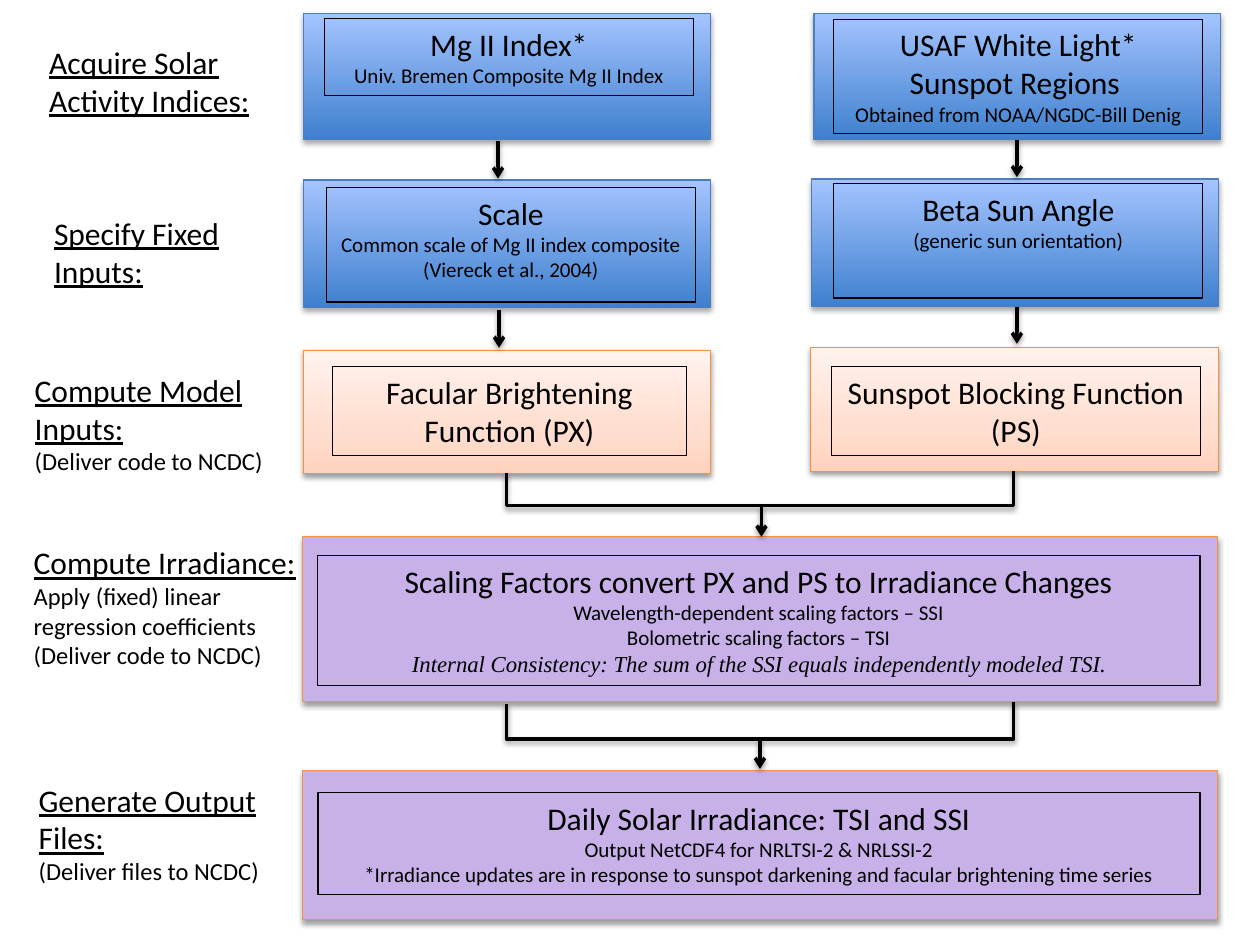
from copy import deepcopy

from lxml.etree import SubElement
from pptx import Presentation
from pptx.dml.color import RGBColor
from pptx.enum.shapes import MSO_CONNECTOR as Link, MSO_SHAPE as Shape
from pptx.enum.text import PP_ALIGN as Align
from pptx.oxml.ns import qn
from pptx.util import Cm, Pt

BLACK = RGBColor(0x00, 0x00, 0x00)
BLUE_EDGE = RGBColor(0x4B, 0x7E, 0xBC)
ORANGE_EDGE = RGBColor(0xF6, 0x92, 0x40)
LILAC = RGBColor(0xC7, 0xB1, 0xE8)
BLUES = [(0, RGBColor(0x3F, 0x80, 0xCE)), (1, RGBColor(0xA4, 0xC4, 0xFF))]
PEACHES = [(0, RGBColor(0xFF, 0xD2, 0xBD)), (0.35, RGBColor(0xFF, 0xDE, 0xD0)),
           (1, RGBColor(0xFF, 0xF2, 0xED))]

FORMATS = {
    "heading": {"size": Pt(18), "name": "Calibri"},
    "detail": {"size": Pt(12), "name": "Calibri"},
    "remark": {"size": Pt(13), "name": "Times New Roman", "italic": True},
    "stage": {"size": Pt(18), "name": "Calibri", "underline": True},
    "task": {"size": Pt(14), "name": "Calibri"},
}


def add_shadow(part, opacity, distance):
    """Give a shape or connector a soft shadow straight below it."""
    effects = SubElement(part._element.spPr, qn("a:effectLst"))
    shadow = SubElement(effects, qn("a:outerShdw"), blurRad=str(Pt(3.1)),
                        dist=str(Pt(distance)), dir="5400000", rotWithShape="0")
    black = SubElement(shadow, qn("a:srgbClr"), val="000000")
    SubElement(black, qn("a:alpha"), val=str(opacity * 1000))


def add_text(place, lines, align):
    """Add a wrapped text box whose lines are (format name, text) pairs."""
    box = slide.shapes.add_textbox(*map(Cm, place))
    box.text_frame.word_wrap = True
    for number, (style, text) in enumerate(lines):
        paragraphs = box.text_frame
        paragraph = paragraphs.add_paragraph() if number else paragraphs.paragraphs[0]
        paragraph.alignment = align
        run = paragraph.add_run()
        run.text = text
        run.font.color.rgb = BLACK
        for attribute, value in FORMATS[style].items():
            setattr(run.font, attribute, value)
    return box


deck = Presentation()
deck.slide_width, deck.slide_height = Cm(25.4), Cm(19.05)
slide = deck.slides.add_slide(deck.slide_layouts[6])

# Coloured panels: place, gradient stops (None for plain lilac), edge
panels = [
    ((6.12, 0.28, 8.2, 2.54), BLUES, BLUE_EDGE),
    ((16.41, 0.28, 8.2, 2.54), BLUES, BLUE_EDGE),
    ((6.12, 3.63, 8.2, 2.57), BLUES, BLUE_EDGE),
    ((16.36, 3.61, 8.2, 2.57), BLUES, BLUE_EDGE),
    ((6.12, 7.06, 8.2, 2.49), PEACHES, ORANGE_EDGE),
    ((16.34, 7.01, 8.22, 2.49), PEACHES, ORANGE_EDGE),
    ((6.1, 10.82, 18.45, 3.33), None, ORANGE_EDGE),
    ((6.1, 15.54, 18.45, 3), None, ORANGE_EDGE),
]
for place, stops, edge in panels:
    panel = slide.shapes.add_shape(Shape.RECTANGLE, *map(Cm, place))
    panel.line.color.rgb = edge
    panel.line.width = Pt(0.75)
    if stops:
        panel.fill.gradient()
        panel.fill.gradient_angle = 90
        stop_list = panel._element.spPr.find(".//" + qn("a:gsLst"))
        while len(stop_list) < len(stops):
            stop_list.append(deepcopy(stop_list[0]))
        for stop, (position, colour) in zip(panel.fill.gradient_stops, stops):
            stop.position = position
            stop.color.rgb = colour
    else:
        panel.fill.solid()
        panel.fill.fore_color.rgb = LILAC
    add_shadow(panel, 35 if stops is BLUES else 38, 1.8 if stops is BLUES else 1.6)

# Framed descriptions inside the panels
steps = [
    ((6.54, 0.38, 7.44, 1.55), [
        ("heading", "Mg II Index*"),
        ("detail", "Univ. Bremen Composite Mg II Index")]),
    ((16.81, 0.39, 7.44, 2.31), [
        ("heading", "USAF White Light* Sunspot Regions "),
        ("detail", "Obtained from NOAA/NGDC-Bill Denig")]),
    ((6.58, 3.78, 7.44, 2.31), [
        ("heading", "Scale"),
        ("detail", "Common scale of Mg II index composite (Viereck et al., 2004)")]),
    ((16.81, 3.7, 7.44, 2.31), [
        ("heading", "Beta Sun Angle"),
        ("detail", "(generic sun orientation)")]),
    ((6.7, 7.39, 7.14, 1.8), [("heading", "Facular Brightening Function (PX)")]),
    ((16.76, 7.39, 7.44, 1.8), [("heading", "Sunspot Blocking Function (PS)")]),
    ((6.4, 11.2, 17.79, 2.62), [
        ("heading", "Scaling Factors convert PX and PS to Irradiance Changes"),
        ("detail", "Wavelength-dependent scaling factors – SSI"),
        ("detail", "Bolometric scaling factors – TSI"),
        ("remark", "Internal Consistency: The sum of the SSI equals "
                   "independently modeled TSI.")]),
    ((6.41, 15.98, 17.78, 2.06), [
        ("heading", "Daily Solar Irradiance: TSI and SSI"),
        ("detail", "Output NetCDF4 for NRLTSI-2 & NRLSSI-2"),
        ("detail", "*Irradiance updates are in response to sunspot darkening "
                   "and facular brightening time series")]),
]
for place, lines in steps:
    frame = add_text(place, lines, Align.CENTER)
    frame.line.color.rgb = BLACK
    frame.line.width = Pt(0.75)

# Stage labels down the left side
stages = [
    ((0.74, 0.74, 5.21, 1.8), [("stage", "Acquire Solar Activity Indices:")]),
    ((0.84, 4.19, 4.7, 1.8), [("stage", "Specify Fixed Inputs:")]),
    ((0.45, 7.35, 5.66, 2.39), [
        ("stage", "Compute Model Inputs:"), ("task", "(Deliver code to NCDC)")]),
    ((0.43, 10.83, 6.88, 3.43), [
        ("stage", "Compute Irradiance:"), ("task", "Apply (fixed) linear "),
        ("task", "regression coefficients "), ("task", "(Deliver code to NCDC)")]),
    ((0.53, 15.61, 5.44, 2.39), [
        ("stage", "Generate Output Files:"), ("task", "(Deliver files to NCDC)")]),
]
for place, lines in stages:
    add_text(place, lines, Align.LEFT)

# Arrows run down from (x, top); brackets join both columns below a row
arrows = [(10.04, 2.84, 0.76), (10.06, 6.25, 0.76), (20.5, 2.82, 0.75),
          (20.5, 6.18, 0.75), (15.35, 10.22, 0.6), (15.32, 14.9, 0.6)]
brackets = [(9.51, 0.66), (14.18, 0.7)]
BRACKET_MIDDLE, BRACKET_SPAN, BRACKET_RISE = 15.32, 10.22, 0.04

links = []
for x, top, length in arrows:
    arrow = slide.shapes.add_connector(Link.STRAIGHT, Cm(x), Cm(top), Cm(x), Cm(top + length))
    links.append((arrow, True))
for y, depth in brackets:
    left, right = BRACKET_MIDDLE - BRACKET_RISE / 2, BRACKET_MIDDLE + BRACKET_RISE / 2
    top, bottom = y - BRACKET_SPAN / 2, y + BRACKET_SPAN / 2
    bracket = slide.shapes.add_connector(Link.ELBOW, Cm(right), Cm(bottom), Cm(left), Cm(top))
    properties = bracket._element.spPr
    properties.find(qn("a:xfrm")).set("rot", "5400000")
    bend = round(-depth / BRACKET_RISE * 100000)
    SubElement(properties.find(".//" + qn("a:avLst")), qn("a:gd"),
               name="adj1", fmla=f"val {bend}")
    links.append((bracket, False))

for link, pointed in links:
    link.line.color.rgb = BLACK
    link.line.width = Pt(2)
    if pointed:
        SubElement(link._element.spPr.find(qn("a:ln")), qn("a:tailEnd"), type="arrow")
    add_shadow(link, 38, 1.6)

deck.save("out.pptx")
